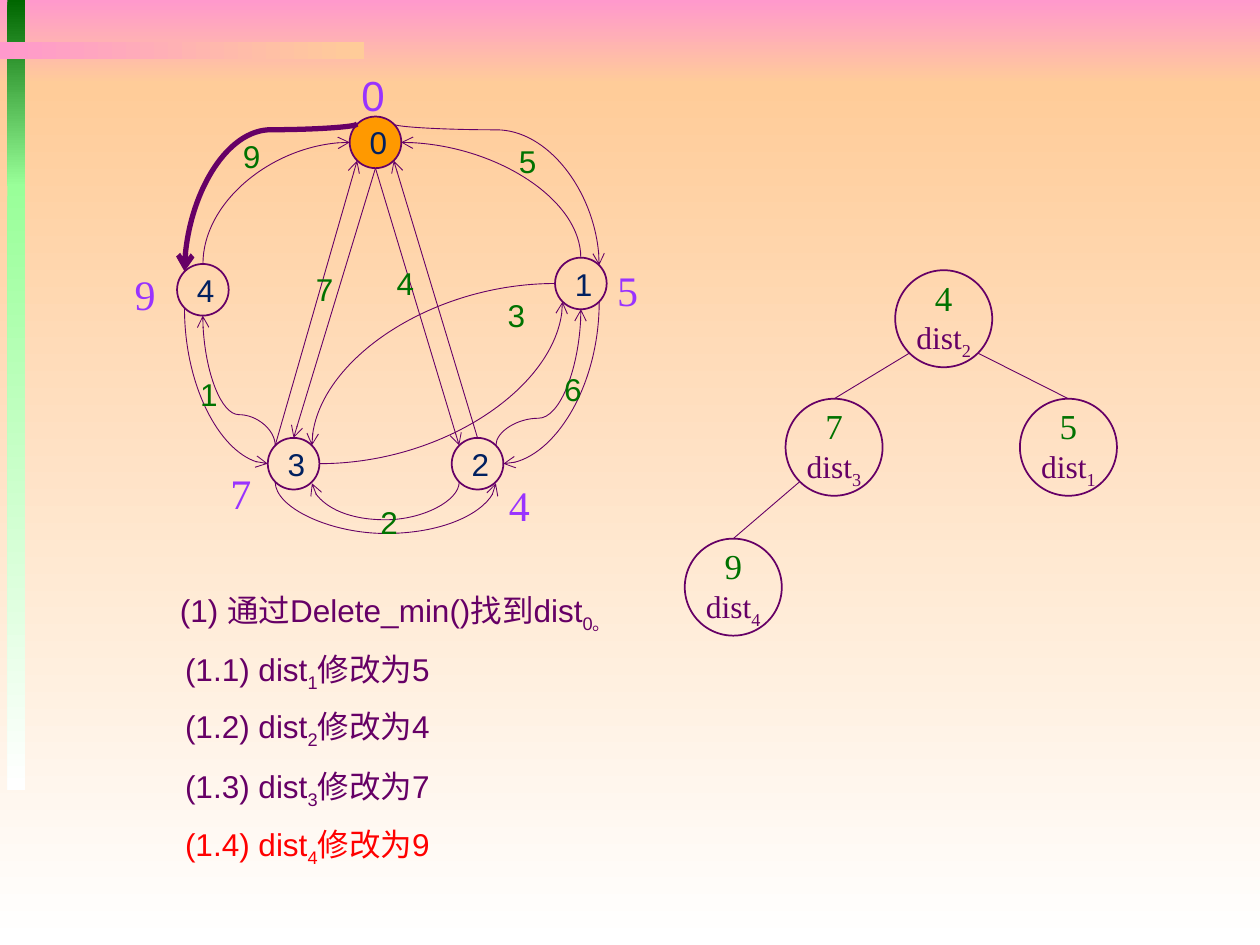
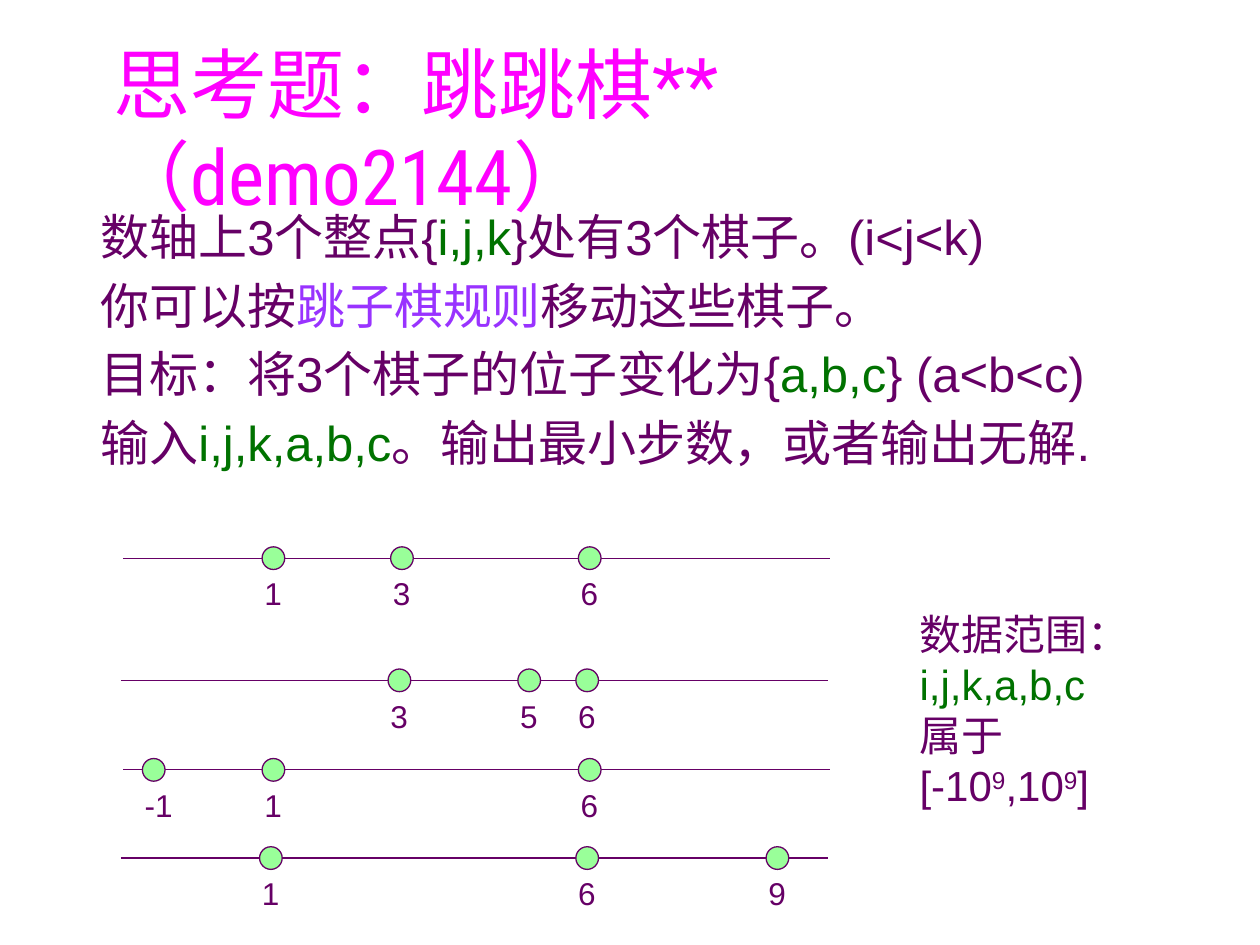
"""Build two slides: shortest paths with a heap, and a jumping-pieces puzzle."""
from lxml import etree
from pptx import Presentation
from pptx.dml.color import RGBColor
from pptx.enum import shapes, text
from pptx.oxml import ns
from pptx.util import Inches, Pt

COLORS = {
    "plum": "660066", "green": "007200", "violet": "9933FF", "navy": "002060",
    "red": "FF0000", "magenta": "FF00FF", "orange": "FF9900", "mint": "99FF99",
    "pink": "FF99CC", "peach": "FFCC99", "white": "FFFFFF", "forest": "006600",
}
SANS, SERIF, TITLE = "Arial", "Times New Roman", "Roboto Condensed"
SUB, SUPER = -25000, 30000
SIDES = {"n": (0, -1), "s": (0, 1), "w": (-1, 0), "e": (1, 0),
         "nw": (-0.71, -0.71), "ne": (0.71, -0.71),
         "sw": (-0.71, 0.71), "se": (0.71, 0.71)}

VERTEX_RADIUS, HEAP_RADIUS, PIECE_RADIUS = 0.205, 0.385, 0.09
VERTICES = {0: (2.98, 1.13), 1: (4.61, 2.25), 2: (3.79, 3.68),
            3: (2.33, 3.68), 4: (1.61, 2.3)}
STRAIGHT_EDGES = [(0, "s", 2, "nw"), (0, "s", 3, "n"),
                  (3, "nw", 0, "sw"), (2, "n", 0, "se")]
CURVED_EDGES = [
    (0, "nw", 4, "nw", 1.03, 3), (0, "ne", 1, "ne", 1.03, 0.5),
    (3, "sw", 2, "se", 4.24, 0.5), (2, "sw", 3, "se", 4.13, 0.5),
    (3, "nw", 4, "s", 3.29, 0.5), (2, "ne", 1, "s", 3.32, 0.5),
    (4, "sw", 3, "w", None, 0.5), (1, "se", 2, "e", None, 0.5),
    (1, "w", 3, "ne", None, 0.5), (3, "e", 1, "sw", None, 0.5),
    (4, "n", 0, "w", None, 0.5), (1, "n", 0, "e", None, 0.5),
]
WEIGHTS = [("9", 1.83, 1.04), ("5", 4.02, 1.08), ("4", 3.05, 2.05),
           ("7", 2.41, 2.09), ("1", 1.49, 2.93), ("2", 2.92, 3.94),
           ("3", 3.93, 2.3), ("6", 4.38, 2.89)]
DISTANCES = [("0", 2.77, 0.5, SANS), ("5", 4.8, 2.05, SERIF), ("4", 3.94, 3.76, SERIF),
             ("7", 1.73, 3.66, SERIF), ("9", 0.97, 2.08, SERIF)]
HEAP = {"2": ("4", (7.49, 2.53)), "3": ("7", (6.62, 3.55)),
        "1": ("5", (8.48, 3.55)), "4": ("9", (5.82, 4.66))}
HEAP_LINKS = [("2", "sw", "3"), ("2", "se", "1"), ("3", "sw", "4")]
UPDATES = [("1", "5", 5.11, "plum"), ("2", "4", 5.56, "plum"),
           ("3", "7", 6.04, "plum"), ("4", "9", 6.5, "red")]

MARK_X = {-1: 1.22, 1: 2.17, 3: 3.19, 5: 4.22, 6: 4.68, 9: 6.19}
NUMBER_LINES = [(4.43, 0, (1, 3, 6)), (5.4, -0.02, (3, 5, 6)),
                (6.11, 0, (-1, 1, 6)), (6.81, -0.02, (1, 6, 9))]


def color(name):
    """Return the named colour."""
    return RGBColor.from_string(COLORS[name])


def write(paragraph, pieces, size, font=SANS):
    """Fill a paragraph with (words, colour[, baseline[, size]]) pieces."""
    for words, tint, *extra in pieces:
        run = paragraph.add_run()
        run.text = words
        run.font.name = font
        run.font.size = Pt(extra[1] if len(extra) > 1 else size)
        run.font.color.rgb = color(tint)
        if extra and extra[0]:
            run._r.get_or_add_rPr().set("baseline", str(extra[0]))


def add_text(slide, box, lines, size, font=SANS, wrap=False, gap=0):
    """Add a text box with one paragraph per line of pieces."""
    frame = slide.shapes.add_textbox(*map(Inches, box)).text_frame
    frame.word_wrap = wrap
    for index, pieces in enumerate(lines):
        paragraph = frame.add_paragraph() if index else frame.paragraphs[0]
        if gap:
            paragraph.space_before = Pt(gap)
        write(paragraph, pieces, size, font)
    return frame


def add_band(slide, box, top_color, end_color, angle=270):
    """Add a gradient rectangle without outline."""
    band = slide.shapes.add_shape(shapes.MSO_SHAPE.RECTANGLE, *map(Inches, box))
    band.shadow.inherit = False
    band.line.fill.background()
    band.fill.gradient()
    band.fill.gradient_angle = angle
    for stop, name in zip(band.fill.gradient_stops, (top_color, end_color)):
        stop.color.rgb = color(name)


def add_circle(slide, center, radius, fill=None, weight=1):
    """Add an outlined circle and return it."""
    x, y = center
    circle = slide.shapes.add_shape(
        shapes.MSO_SHAPE.OVAL, Inches(x - radius), Inches(y - radius),
        Inches(2 * radius), Inches(2 * radius))
    circle.shadow.inherit = False
    circle.line.color.rgb = color("plum")
    circle.line.width = Pt(weight)
    if fill:
        circle.fill.solid()
        circle.fill.fore_color.rgb = color(fill)
    else:
        circle.fill.background()
    circle.text_frame.vertical_anchor = text.MSO_ANCHOR.MIDDLE
    circle.text_frame.paragraphs[0].alignment = text.PP_ALIGN.CENTER
    return circle


def anchor(center, radius, side):
    """Return the point of a circle that faces a compass side."""
    return tuple(c + radius * d for c, d in zip(center, SIDES[side]))


def add_line(slide, start, end, weight, arrow=False, kind=shapes.MSO_CONNECTOR.STRAIGHT):
    """Add a connector, optionally with an arrowhead at its end."""
    line = slide.shapes.add_connector(kind, *map(Inches, start + end))
    line.line.color.rgb = color("plum")
    line.line.width = Pt(weight)
    if arrow:
        etree.SubElement(line.line._get_or_add_ln(), ns.qn("a:tailEnd"), type="arrow")
    etree.SubElement(line._element.spPr, ns.qn("a:effectLst"))
    return line


def add_curve(slide, start, end, weight, vertical, level=None):
    """Add a curved arrow: an S or U bend through level, else a quarter bend."""
    (x0, y0), (x1, y1) = start, end
    if abs(y1 - y0) < 0.01:
        y1 += 0.01
    dx, dy, cx, cy = x1 - x0, y1 - y0, (x0 + x1) / 2, (y0 + y1) / 2
    if vertical:
        start, end = (cx - dy / 2, cy + dx / 2), (cx + dy / 2, cy - dx / 2)
    curve = add_line(slide, start, end, weight, True, shapes.MSO_CONNECTOR.CURVE)
    properties = curve._element.spPr
    if vertical:
        properties.find(ns.qn("a:xfrm")).set("rot", "5400000")
    geometry = properties.find(ns.qn("a:prstGeom"))
    if level is None:
        geometry.set("prst", "curvedConnector2")
    else:
        bend = round((level - y0) / dy * 100000)
        guides = geometry.find(ns.qn("a:avLst"))
        etree.SubElement(guides, ns.qn("a:gd"), name="adj1", fmla=f"val {bend}")


def add_backdrop(slide):
    """Add the coloured background bands."""
    add_band(slide, (0, 0, 10, 0.67), "pink", "peach")
    add_band(slide, (0, 0.67, 10, 6.83), "peach", "white")
    add_band(slide, (0.06, 0, 0.14, 1.48), "forest", "mint")
    add_band(slide, (0.06, 1.46, 0.14, 4.81), "mint", "white")
    add_band(slide, (0, 0.33, 2.89, 0.14), "pink", "peach", 0)


def add_graph(slide):
    """Draw the directed graph with its weights and distances."""
    for number, center in VERTICES.items():
        vertex = add_circle(slide, center, VERTEX_RADIUS, None if number else "orange")
        write(vertex.text_frame.paragraphs[0], [(str(number), "navy")], 18)
    for source, out, target, into in STRAIGHT_EDGES:
        add_line(slide, anchor(VERTICES[source], VERTEX_RADIUS, out),
                 anchor(VERTICES[target], VERTEX_RADIUS, into), 0.5, True)
    for source, out, target, into, level, weight in CURVED_EDGES:
        add_curve(slide, anchor(VERTICES[source], VERTEX_RADIUS, out),
                  anchor(VERTICES[target], VERTEX_RADIUS, into),
                  weight, out not in ("e", "w"), level)
    for weight, x, y in WEIGHTS:
        add_text(slide, (x, y, 0.34, 0.4), [[(weight, "green")]], 18)
    for distance, x, y, font in DISTANCES:
        add_text(slide, (x, y, 0.37, 0.5), [[(distance, "violet")]], 24, font)


def add_heap(slide):
    """Draw the binary heap of distances."""
    for parent, side, child in HEAP_LINKS:
        add_line(slide, anchor(HEAP[parent][1], HEAP_RADIUS, side),
                 anchor(HEAP[child][1], HEAP_RADIUS, "n"), 0.5)
    for index, (distance, center) in HEAP.items():
        frame = add_circle(slide, center, HEAP_RADIUS).text_frame
        frame.margin_left = frame.margin_right = frame.margin_top = frame.margin_bottom = 0
        key = frame.paragraphs[0]
        write(key, [(distance, "green", 0, 20)], 18, SERIF)
        key.add_line_break()
        write(key, [("dist", "plum"), (index, "plum", SUB)], 18, SERIF)


def add_steps(slide):
    """List the distance updates."""
    add_text(slide, (1.33, 4.64, 3.98, 0.4),
             [[("(1) 通过Delete_min()找到dist", "plum"), ("0。", "plum", SUB)]], 18, wrap=True)
    for index, distance, y, tint in UPDATES:
        step = [(f"(1.{index}) dist", tint), (index, tint, SUB), (f"修改为{distance}", tint)]
        add_text(slide, (1.37, y, 2.89, 0.4), [step], 18, wrap=True)


def add_number_line(slide, y, shift, marks):
    """Draw a number line with a piece on each mark."""
    add_line(slide, (0.98 + shift, y), (6.59 + shift, y), 0.75)
    for mark in marks:
        x = MARK_X[mark] + shift
        add_circle(slide, (x, y), PIECE_RADIUS, "mint", 0.75)
        width = 0.34 if mark >= 0 else 0.43
        add_text(slide, (x - 0.17, y + 0.08, width, 0.4), [[(str(mark), "plum")]], 18)


def add_puzzle(slide):
    """Write the puzzle statement and its data range."""
    title = add_text(slide, (0.8, 0.57, 8.5, 0.9),
                     [[("思考题：跳跳棋**（demo2144）", "magenta")]], 44, TITLE, wrap=True)
    title.vertical_anchor = text.MSO_ANCHOR.MIDDLE
    add_text(slide, (0.7, 1.59, 9.3, 2.49), [
        [("数轴上3个整点{", "plum"), ("i,j,k", "green"), ("}处有3个棋子。(i<j<k)", "plum")],
        [("你可以按", "plum"), ("跳子棋规则", "violet"), ("移动这些棋子。", "plum")],
        [("目标：将3个棋子的位子变化为{", "plum"), ("a,b,c", "green"), ("} (a<b<c)", "plum")],
        [("输入", "plum"), ("i,j,k,a,b,c", "green"),
         ("。输出最小步数，或者输出无解.", "plum")],
    ], 28, wrap=True, gap=5.6)
    add_text(slide, (7.2, 4.78, 1.88, 1.72), [
        [("数据范围：", "plum")],
        [("i,j,k,a,b,c", "green")],
        [("属于", "plum")],
        [("[-10", "plum"), ("9", "plum", SUPER), (",10", "plum"),
         ("9", "plum", SUPER), ("]", "plum")],
    ], 24)


def main():
    """Build and save the presentation."""
    deck = Presentation()
    deck.slide_width, deck.slide_height = Inches(10), Inches(7.5)
    blank = deck.slide_layouts[6]

    paths = deck.slides.add_slide(blank)
    add_backdrop(paths)
    add_heap(paths)
    add_steps(paths)
    add_graph(paths)

    puzzle = deck.slides.add_slide(blank)
    add_puzzle(puzzle)
    for y, shift, marks in NUMBER_LINES:
        add_number_line(puzzle, y, shift, marks)

    deck.save("out.pptx")


if __name__ == "__main__":
    main()
